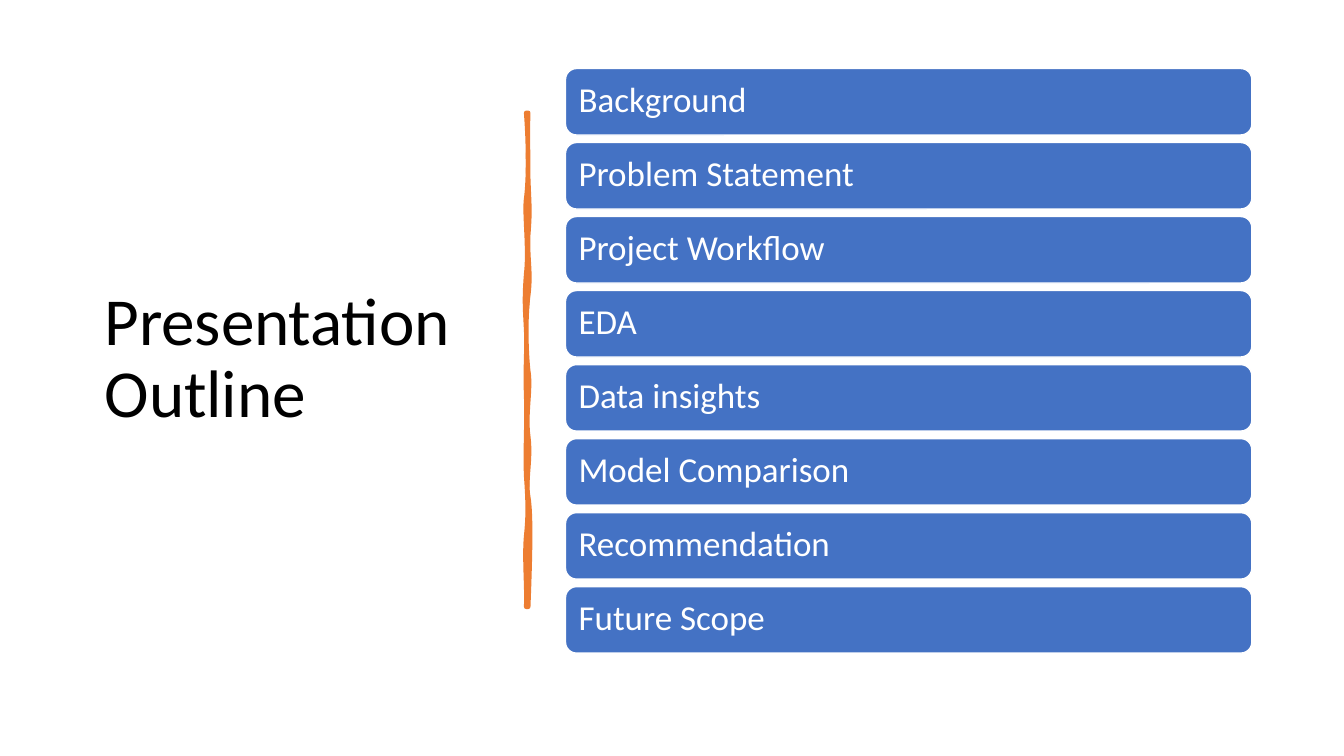
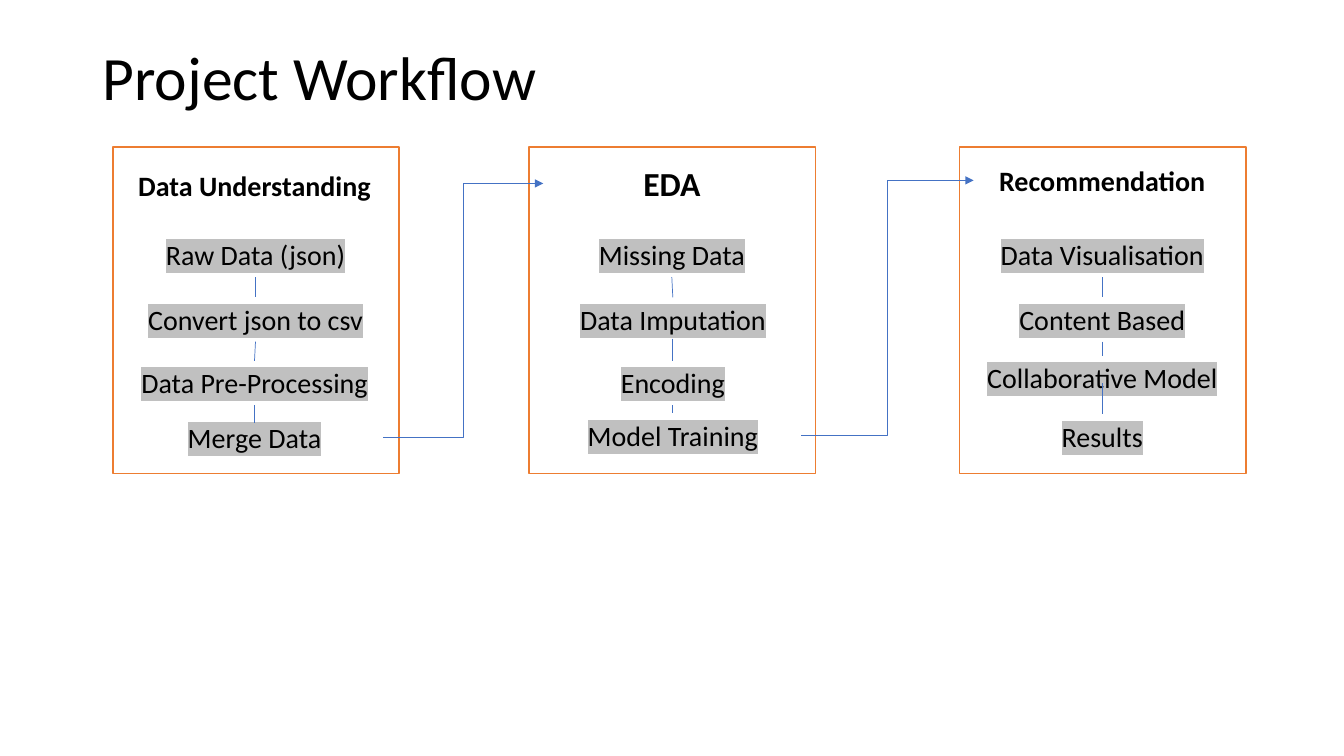
import copy

import pptx
import pptx.util
import pptx.dml.color
import pptx.enum.shapes
import pptx.enum.text
import pptx.oxml
import pptx.oxml.ns

Inches, Pt = pptx.util.Inches, pptx.util.Pt
SHAPE = pptx.enum.shapes.MSO_SHAPE
CONNECTOR = pptx.enum.shapes.MSO_CONNECTOR
ANCHOR = pptx.enum.text.MSO_ANCHOR
ALIGN = pptx.enum.text.PP_ALIGN
GROW = pptx.enum.text.MSO_AUTO_SIZE.SHAPE_TO_FIT_TEXT
A_NS = pptx.oxml.ns.nsdecls("a")
qn = pptx.oxml.ns.qn

COLORS = {"text": "000000", "white": "FFFFFF", "blue": "4472C4",
          "orange": "ED7D31", "highlight": "C0C0C0"}
FONT = "Calibri"
BOTTOM, TOP, LEFT, RIGHT = 2, 0, 1, 3

TOPICS = ["Background", "Problem Statement", "Project Workflow", "EDA",
          "Data insights", "Model Comparison", "Recommendation", "Future Scope"]

# Each stage: panel left, heading (text, size, x, y), steps (text, x, y),
# link ends that leave the label edge {link: (attribute, y)}; offsets from the panel
STAGES = [
    (1.12, ("Data Understanding", 20, 0.13, 0.16),
     [("Raw Data (json)", 0.14, 0.85), ("Convert json to csv", 0.14, 1.49),
      ("Data Pre-Processing", 0.13, 2.12), ("Merge Data", 0.13, 2.66)],
     {2: ("end_y", 2.74)}),
    (5.25, ("EDA", 24, 0.14, 0.11),
     [("Missing Data", 0.14, 0.85), ("Data Imputation", 0.15, 1.49),
      ("Encoding", 0.15, 2.12), ("Model Training", 0.15, 2.64)],
     {1: ("begin_y", 1.9)}),
    (9.52, ("Recommendation", 20, 0.14, 0.11),
     [("Data Visualisation", 0.14, 0.85), ("Content Based", 0.14, 1.49),
      ("Collaborative Model", 0.14, 2.07), ("Results", 0.14, 2.65)],
     {2: ("begin_y", 2.34)}),
]

# Brush strokes: right edge down, then left edge up, as cubic control points
STROKES = [
    ([(.04, 0), (.03, .3), (.04, .37), (.04, .65), (.05, .94), (.06, .95),
      (.04, 1.21), (.03, 1.47), (.07, 1.57), (.04, 1.81), (.01, 2.05),
      (.02, 2.38), (.04, 2.56), (.07, 2.74), (.01, 2.98), (.04, 3.21),
      (.07, 3.44), (.01, 3.64), (.04, 3.81), (.07, 3.99), (.06, 4.39), (.04, 4.9)],
     [(.02, 4.9), (.03, 4.72), (0, 4.41), (.02, 4.2), (.04, 4), (.04, 3.88),
      (.02, 3.6), (.01, 3.32), (.03, 3.1), (.02, 2.8), (.01, 2.51),
      (.03, 2.35), (.02, 2.15), (.01, 1.95), (0, 1.85), (.02, 1.6),
      (.05, 1.35), (0, 1), (.02, .85), (.04, .7), (.05, .4), (.02, 0)]),
    ([(.04, 0), (.04, .32), (.02, .36), (.04, .65), (.06, .95), (.05, 1.09),
      (.04, 1.21), (.03, 1.33), (.08, 1.73), (.04, 2.01), (0, 2.29),
      (.04, 2.39), (.04, 2.66), (.05, 2.92), (.02, 3.05), (.04, 3.31),
      (.07, 3.57), (.04, 3.78), (.04, 4.11), (.04, 4.43), (.02, 4.71), (.04, 4.9)],
     [(.02, 4.9), (.05, 4.68), (0, 4.6), (.02, 4.3), (.05, 4.01), (.02, 3.78),
      (.02, 3.6), (.03, 3.42), (.01, 3.16), (.02, 2.9), (.04, 2.65),
      (.03, 2.45), (.02, 2.25), (.01, 2.05), (-.01, 1.72), (.02, 1.45),
      (.05, 1.19), (.03, .86), (.02, .65), (.01, .44), (.03, .19), (.02, 0)]),
]


def rgb(name):
    return pptx.dml.color.RGBColor.from_string(COLORS[name])


def set_attrs(obj, values):
    for name, value in values.items():
        setattr(obj, name, value)


def style_shape(sp, fill, line, width=1):
    sp.shadow.inherit = False
    sp.fill.solid()
    sp.fill.fore_color.rgb = rgb(fill)
    sp.line.color.rgb = rgb(line)
    sp.line.width = Pt(width)


def write(sp, text, size, color="text", bold=False, highlight=None,
          frame=None, para=None):
    tf = sp.text_frame
    set_attrs(tf, {"word_wrap": True, **(frame or {})})
    p = tf.paragraphs[0]
    set_attrs(p, para or {})
    r = p.add_run()
    r.text = text
    set_attrs(r.font, {"size": Pt(size), "name": FONT, "bold": bold})
    r.font.color.rgb = rgb(color)
    if highlight:
        mark = pptx.oxml.parse_xml(
            f'<a:highlight {A_NS}><a:srgbClr val="{COLORS[highlight]}"/></a:highlight>')
        r.font._element.find(qn("a:solidFill")).addnext(mark)


def add_text(s, box, text, size, **style):
    sp = s.shapes.add_textbox(*map(Inches, box))
    write(sp, text, size, **style)
    return sp


def add_title(s, box, text, size, indent=0.1):
    return add_text(s, box, text, size, para={"line_spacing": 0.9},
                    frame={"vertical_anchor": ANCHOR.MIDDLE, "margin_left": Inches(indent)})


def join(s, start, end, sides, kind=CONNECTOR.STRAIGHT, arrow=False):
    cx = s.shapes.add_connector(kind, 0, 0, 0, 0)
    cx.begin_connect(start, sides[0])
    cx.end_connect(end, sides[1])
    cx.line.color.rgb = rgb("blue")
    cx.line.width = Pt(0.5)
    if arrow:
        cx.line._get_or_add_ln().append(
            pptx.oxml.parse_xml(f'<a:tailEnd {A_NS} type="triangle"/>'))
    cx._element.spPr.append(pptx.oxml.parse_xml(f"<a:effectLst {A_NS}/>"))
    return cx


def curve_path(path):
    """Turn each three line segments of a path into one cubic curve."""
    lines = path.findall(qn("a:lnTo"))
    for i in range(0, len(lines), 3):
        curve = pptx.oxml.parse_xml(f"<a:cubicBezTo {A_NS}/>")
        lines[i].addprevious(curve)
        for line in lines[i:i + 3]:
            curve.append(line[0])
            path.remove(line)


def add_brush_divider(s, left, top):
    contours = []
    for right_edge, left_edge in STROKES:
        # Flat caps close the stroke at both ends
        nodes = [*right_edge, right_edge[-1], left_edge[0], *left_edge,
                 left_edge[-1], right_edge[0], right_edge[0]]
        contours.append([(Inches(left + x), Inches(top + y)) for x, y in nodes])
    builder = s.shapes.build_freeform(*contours[0][0], scale=1.0)
    for contour in contours:
        if contour is not contours[0]:
            builder.move_to(*contour[0])
        builder.add_line_segments(contour[1:], close=True)
    sp = builder.convert_to_shape()
    style_shape(sp, "orange", "orange", 3.25)

    # One path carries the outline, the other the fill
    outline = sp._element.find(".//" + qn("a:path"))
    filled = copy.deepcopy(outline)
    outline.addnext(filled)
    half = len(outline) // 2
    for path, surplus in ((outline, outline[half:]), (filled, filled[:half])):
        for segment in surplus:
            path.remove(segment)
        curve_path(path)
    outline.set("fill", "none")
    filled.set("stroke", "0")


def add_topic_bars(s, box, topics, bar_height=0.66):
    left, top, width, height = box
    pitch = (height - bar_height) / (len(topics) - 1)
    for i, topic in enumerate(topics):
        sp = s.shapes.add_shape(SHAPE.ROUNDED_RECTANGLE, Inches(left), Inches(top + i * pitch),
                                Inches(width), Inches(bar_height))
        style_shape(sp, "blue", "white")
        write(sp, topic, 25, "white",
              frame={"vertical_anchor": ANCHOR.MIDDLE, "margin_left": Inches(0.1),
                     "margin_bottom": Inches(0.07)},
              para={"alignment": ALIGN.LEFT, "line_spacing": 0.9})


def add_stage(s, box, heading, steps, link_ends):
    """Place one panel; return its heading and its steps."""
    left, top, _, _ = box
    panel = s.shapes.add_shape(SHAPE.RECTANGLE, *map(Inches, box))
    style_shape(panel, "white", "orange")

    def label(text, size, x, y, **style):
        text_box = (left + x, top + y, 2.55, 0.5 if size > 20 else 0.44)
        return add_text(s, text_box, text, size, frame={"auto_size": GROW},
                        para={"alignment": ALIGN.CENTER}, **style)

    head = label(*heading, bold=True)
    labels = [label(text, 20, x, y, highlight="highlight") for text, x, y in steps]
    links = [join(s, a, b, (BOTTOM, TOP)) for a, b in zip(labels, labels[1:])]
    for i, (end, y) in link_ends.items():
        setattr(links[i], end, Inches(top + y))
    return head, labels


def outline_slide(prs):
    s = prs.slides.add_slide(prs.slide_layouts[6])
    title = add_title(s, (0.92, 0.6, 3.94, 5.94), "Presentation Outline", 48, indent=0.12)
    title.text_frame.paragraphs[0].runs[0].font._element.set("spc", "-10")
    add_brush_divider(s, 5.2, 1.12)
    add_topic_bars(s, (5.61, 0.68, 6.81, 5.8), TOPICS)


def workflow_slide(prs):
    s = prs.slides.add_slide(prs.slide_layouts[6])
    add_title(s, (0.92, 0.38, 11.5, 0.83), "Project Workflow", 44)
    stages = [add_stage(s, (left, 1.46, 2.84, 3.24), *parts) for left, *parts in STAGES]
    # Arrows from the last step of a stage to the next heading
    for (_, labels), (head, _) in zip(stages, stages[1:]):
        join(s, labels[-1], head, (RIGHT, LEFT), CONNECTOR.ELBOW, arrow=True)


def main():
    prs = pptx.Presentation()
    set_attrs(prs, {"slide_width": Inches(40 / 3), "slide_height": Inches(7.5)})
    outline_slide(prs)
    workflow_slide(prs)
    prs.save("out.pptx")


if __name__ == "__main__":
    main()
